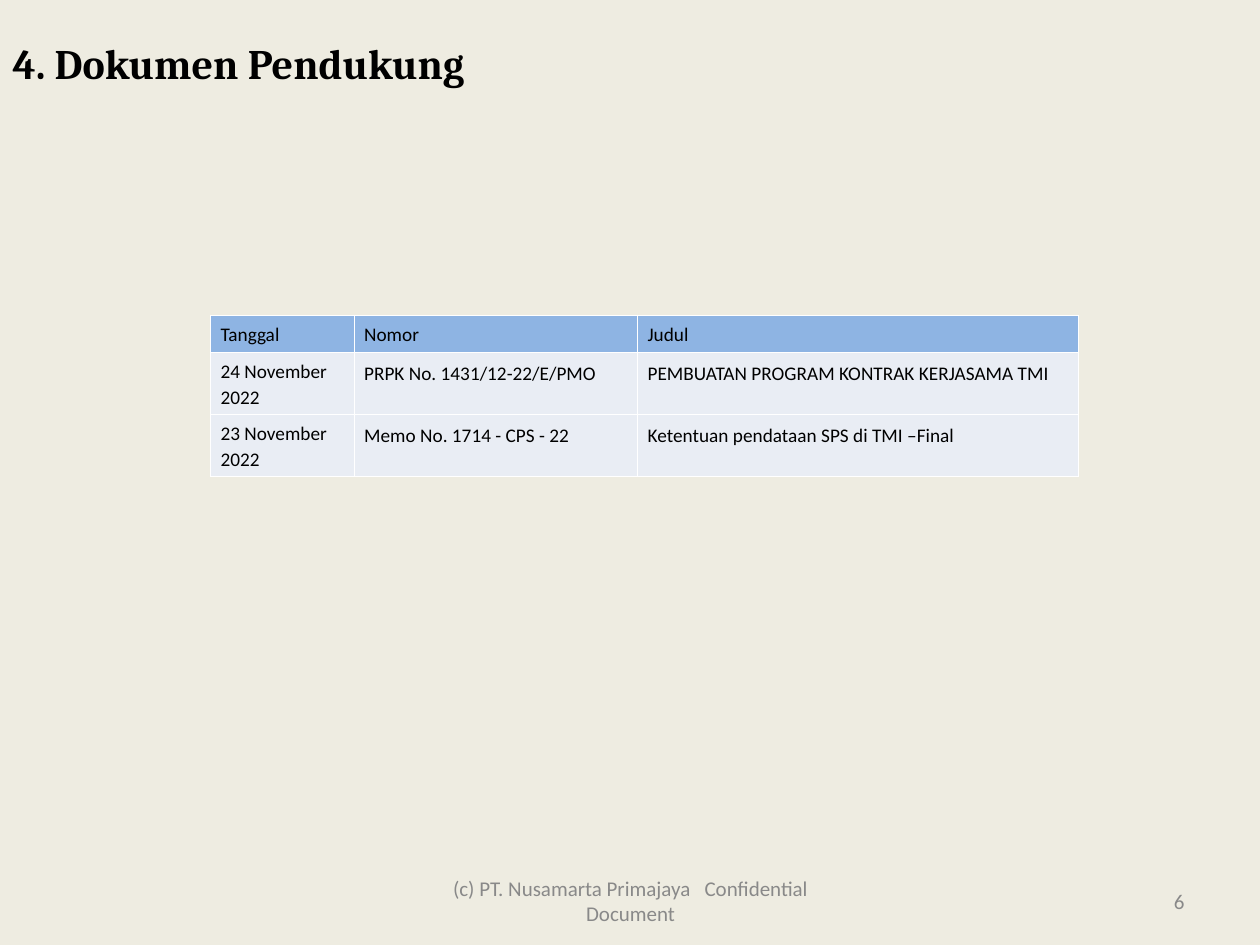
"""Build the supporting documents slide with its table and footer."""
from lxml import etree
from pptx import Presentation
from pptx.dml.color import RGBColor
from pptx.enum import text
from pptx.oxml import ns
from pptx.util import Inches, Pt

BACKGROUND = RGBColor(0xEE, 0xEC, 0xE1)
BLACK = RGBColor(0, 0, 0)
GRAY = RGBColor(0x89, 0x89, 0x89)
HEADER_BLUE = RGBColor(0x8E, 0xB4, 0xE3)
ROW_BLUE = RGBColor(0xE9, 0xED, 0xF4)
BORDER = RGBColor(0xFF, 0xFF, 0xFF)

TITLE = "4. Dokumen Pendukung"
DOCUMENTS = [
    ("Tanggal", "Nomor", "Judul"),
    ("24 November 2022", "PRPK No. 1431/12-22/E/PMO", "PEMBUATAN PROGRAM KONTRAK KERJASAMA TMI"),
    ("23 November 2022", "Memo No. 1714 - CPS - 22", "Ketentuan pendataan SPS di TMI –Final"),
]
COLUMN_WIDTHS = (1.14, 2.25, 3.5)
ROW_HEIGHTS = (0.2, 0.42, 0.42)
FOOTERS = [
    ("(c) PT. Nusamarta Primajaya   Confidential Document", 3.42, 3.17, text.PP_ALIGN.CENTER),
    ("6", 7.17, 2.33, text.PP_ALIGN.RIGHT),
]
TITLE_FONT = {"name": "Cambria", "size": Pt(24), "bold": True}
TABLE_FONT = {"name": "Calibri", "size": Pt(11), "bold": False}
FOOTER_FONT = {"name": "Calibri", "size": Pt(12)}
CELL_FORMAT = {
    "margin_left": Inches(0.08),
    "margin_right": Inches(0.08),
    "margin_top": Inches(0.05),
    "margin_bottom": Inches(0.05),
    "vertical_anchor": text.MSO_ANCHOR.TOP,
}


def apply_format(target, values):
    for name, value in values.items():
        setattr(target, name, value)


def write_text(frame, content, font, color, **paragraph_format):
    paragraph = frame.paragraphs[0]
    apply_format(paragraph, paragraph_format)
    run = paragraph.add_run()
    run.text = content
    apply_format(run.font, font)
    run.font.color.rgb = color


def add_borders(cell):
    properties = cell._tc.get_or_add_tcPr()
    for index, side in enumerate(("lnL", "lnR", "lnT", "lnB")):
        line = etree.Element(ns.qn(f"a:{side}"), w=str(Pt(0.45)))
        fill = etree.SubElement(line, ns.qn("a:solidFill"))
        etree.SubElement(fill, ns.qn("a:srgbClr"), val=str(BORDER))
        properties.insert(index, line)


def add_title(slide):
    title = slide.shapes.title
    apply_format(title, {"left": 0, "top": Inches(0.25), "width": Inches(10), "height": Inches(0.5)})
    frame = title.text_frame
    apply_format(frame, {
        "word_wrap": True,
        "vertical_anchor": text.MSO_ANCHOR.TOP,
        "auto_size": text.MSO_AUTO_SIZE.SHAPE_TO_FIT_TEXT,
    })
    write_text(frame, TITLE, TITLE_FONT, BLACK, alignment=text.PP_ALIGN.LEFT)


def add_documents(slide):
    table = slide.shapes.add_table(
        len(DOCUMENTS), len(COLUMN_WIDTHS), Inches(1.67), Inches(2.5),
        Inches(sum(COLUMN_WIDTHS)), Inches(sum(ROW_HEIGHTS)),
    ).table
    for column, width in zip(table.columns, COLUMN_WIDTHS):
        column.width = Inches(width)
    for row_index, (row, height, values) in enumerate(zip(table.rows, ROW_HEIGHTS, DOCUMENTS)):
        row.height = Inches(height)
        for column_index, (cell, value) in enumerate(zip(row.cells, values)):
            apply_format(cell, CELL_FORMAT)
            cell.fill.solid()
            cell.fill.fore_color.rgb = ROW_BLUE if row_index else HEADER_BLUE
            spacing = 1.15 if row_index and column_index else 1.07
            write_text(cell.text_frame, value, TABLE_FONT, BLACK, line_spacing=spacing)
            add_borders(cell)


def add_footers(slide):
    for content, left, width, alignment in FOOTERS:
        box = slide.shapes.add_textbox(Inches(left), Inches(6.95), Inches(width), Inches(0.4))
        apply_format(box.text_frame, {"word_wrap": True, "vertical_anchor": text.MSO_ANCHOR.MIDDLE})
        write_text(box.text_frame, content, FOOTER_FONT, GRAY, alignment=alignment)


def main():
    presentation = Presentation()
    apply_format(presentation, {"slide_width": Inches(10), "slide_height": Inches(7.5)})
    slide = presentation.slides.add_slide(presentation.slide_layouts[5])
    slide.background.fill.solid()
    slide.background.fill.fore_color.rgb = BACKGROUND
    add_footers(slide)
    add_title(slide)
    add_documents(slide)
    presentation.save("out.pptx")


if __name__ == "__main__":
    main()
